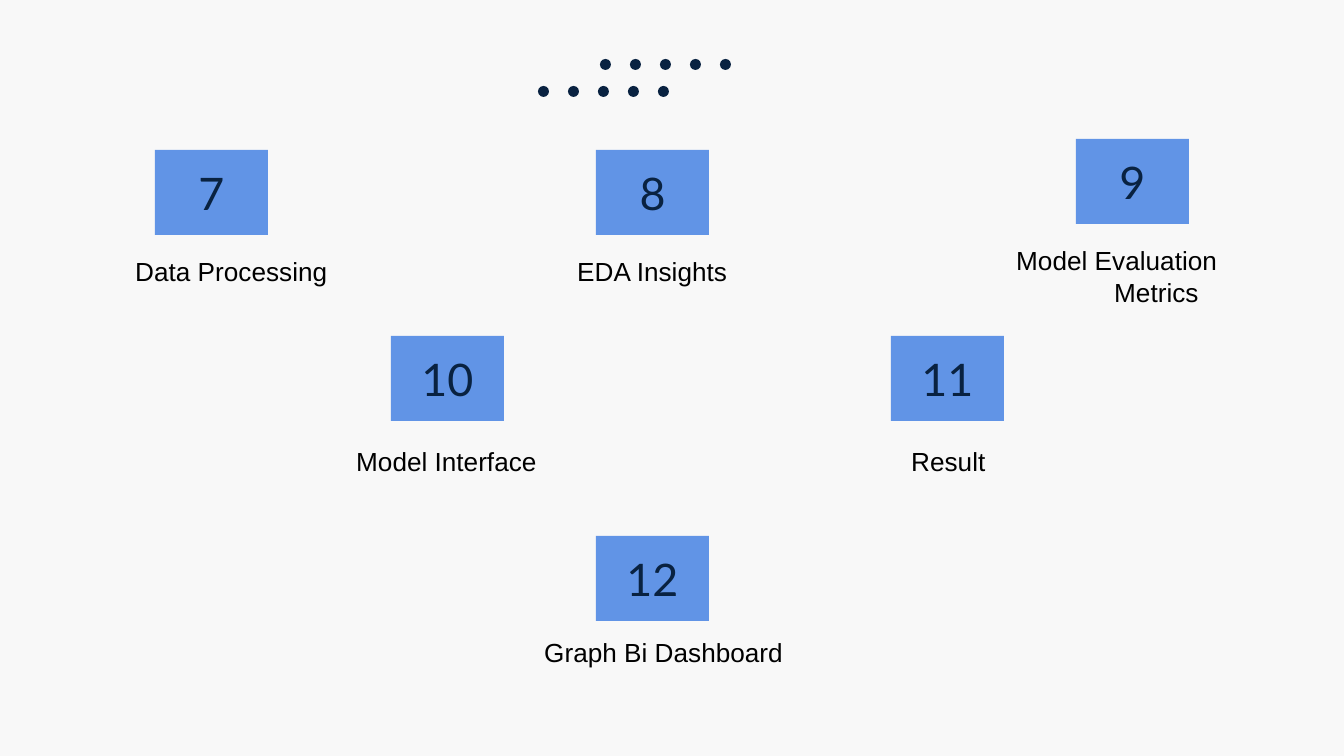
from pptx import Presentation
from pptx.dml.color import RGBColor
from pptx.enum.shapes import MSO_SHAPE
from pptx.enum.text import MSO_ANCHOR, PP_ALIGN
from pptx.util import Pt

RECTANGLE, OVAL = MSO_SHAPE.RECTANGLE, MSO_SHAPE.OVAL
MIDDLE, CENTER, LEFT = MSO_ANCHOR.MIDDLE, PP_ALIGN.CENTER, PP_ALIGN.LEFT

BACKGROUND = RGBColor(0xF8, 0xF8, 0xF8)
NAVY = RGBColor(0x09, 0x22, 0x41)
BLUE = RGBColor(0x61, 0x94, 0xE6)
BLACK = RGBColor(0, 0, 0)

# Agenda: number, box corner, label frame, label lines as (text, indent)
AGENDA = [
    ("7", (155, 150), (122, 249, 254, 46), [("Data Processing", 0)]),
    ("8", (596, 150), (564, 249, 185, 46), [("EDA Insights", 0)]),
    ("9", (1076, 139), (1003, 238, 296, 77),
     [("Model Evaluation", 0), ("Metrics", 98)]),
    ("10", (391, 336), (343, 439, 254, 46), [("Model Interface", 0)]),
    ("11", (891, 336), (898, 439, 254, 46), [("Result", 0)]),
    ("12", (596, 536), (531, 630, 282, 46), [("Graph Bi Dashboard", 0)]),
]
BOX_SIZE = (113, 85)
BOX_INSET = 13

# Dot rows: left and top of the first dot
DOT_ROWS = [(600, 59), (538, 86)]
DOTS_PER_ROW, DOT_STEP, DOT_SIZE = 5, 30, 11


def px(length):
    return round(length * 914400 / 134.4)


def add_filled(slide, kind, left, top, width, height, color):
    shape = slide.shapes.add_shape(kind, px(left), px(top), px(width), px(height))
    shape.shadow.inherit = False
    shape.fill.solid()
    shape.fill.fore_color.rgb = color
    shape.line.fill.background()
    return shape


def add_run(paragraph, text, font_name, size, color, alignment):
    paragraph.alignment = alignment
    run = paragraph.add_run()
    run.text = text
    run.font.name = font_name
    run.font.size = Pt(size)
    run.font.color.rgb = color


def add_number(slide, number, corner):
    box = add_filled(slide, RECTANGLE, *corner, *BOX_SIZE, BLUE)
    frame = box.text_frame
    frame.vertical_anchor = MIDDLE
    frame.margin_left = frame.margin_right = px(BOX_INSET)
    frame.margin_top = frame.margin_bottom = px(BOX_INSET)
    add_run(frame.paragraphs[0], number, "Lato", 24, NAVY, CENTER)


def add_label(slide, place, lines):
    frame = slide.shapes.add_textbox(*map(px, place)).text_frame
    frame.word_wrap = True
    for index, (text, indent) in enumerate(lines):
        paragraph = frame.add_paragraph() if index else frame.paragraphs[0]
        add_run(paragraph, text, "Arial", 14, BLACK, LEFT)
        if indent:
            paragraph._p.get_or_add_pPr().set("marL", str(px(indent)))


def main():
    presentation = Presentation()
    presentation.slide_width, presentation.slide_height = px(1344), px(756)
    slide = presentation.slides.add_slide(presentation.slide_layouts[6])
    slide.background.fill.solid()
    slide.background.fill.fore_color.rgb = BACKGROUND

    # Decorative dots
    for left, top in DOT_ROWS:
        for column in range(DOTS_PER_ROW):
            add_filled(slide, OVAL, left + column * DOT_STEP, top,
                       DOT_SIZE, DOT_SIZE, NAVY)

    # Numbered boxes and their labels
    for number, corner, place, lines in AGENDA:
        add_number(slide, number, corner)
        add_label(slide, place, lines)

    presentation.save("out.pptx")


if __name__ == "__main__":
    main()
